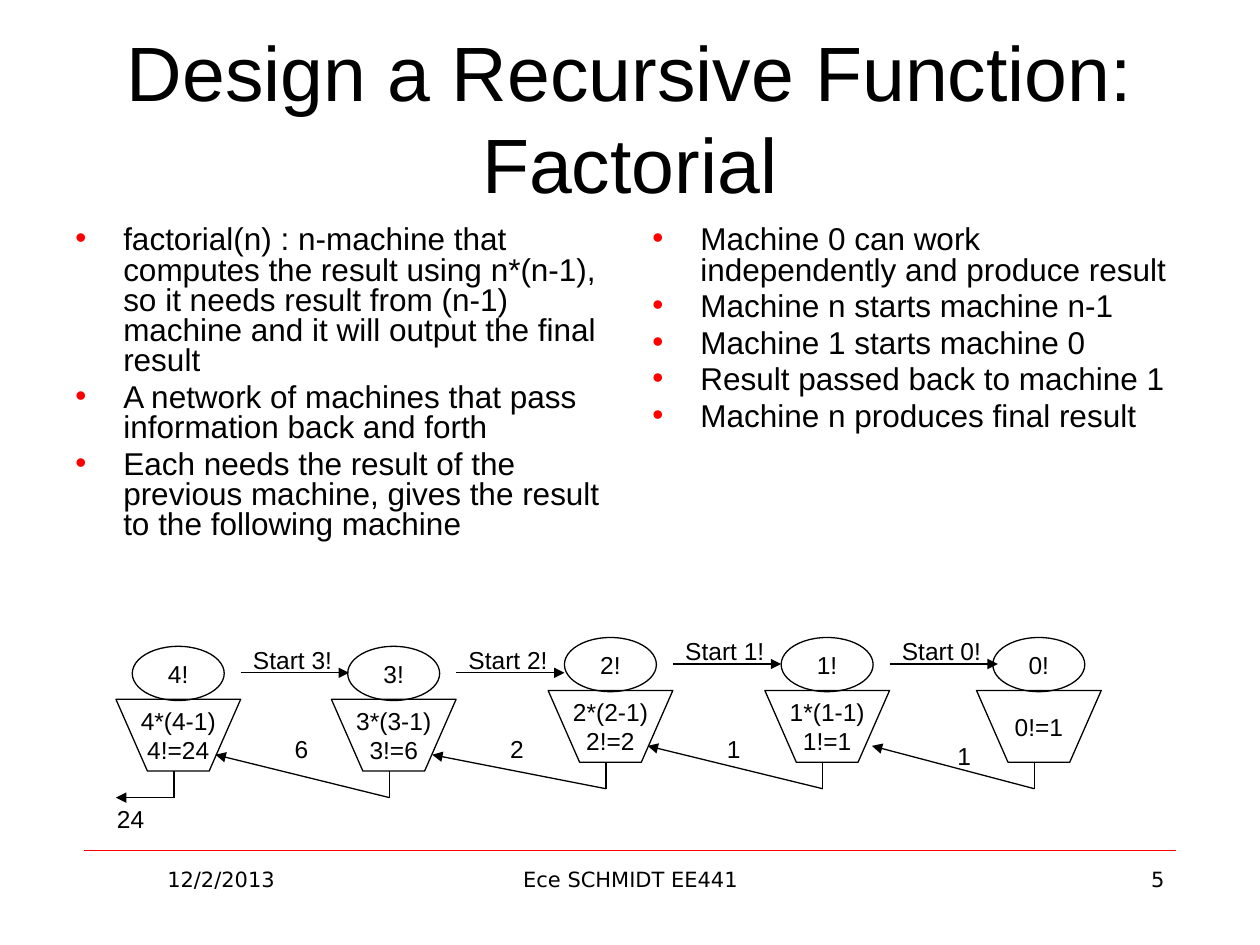
from dataclasses import dataclass

from lxml import etree
from pptx import Presentation
from pptx.dml.color import RGBColor
from pptx.enum.shapes import MSO_CONNECTOR, MSO_SHAPE
from pptx.enum.text import MSO_ANCHOR, MSO_AUTO_SIZE, PP_ALIGN
from pptx.oxml.ns import qn
from pptx.util import Inches, Pt

LEFT, CENTER, RIGHT = PP_ALIGN.LEFT, PP_ALIGN.CENTER, PP_ALIGN.RIGHT
TOP, MIDDLE = MSO_ANCHOR.TOP, MSO_ANCHOR.MIDDLE


@dataclass(frozen=True)
class Theme:
    """Colours, fonts and sizes of the page."""
    ink: RGBColor = RGBColor(0, 0, 0)
    accent: RGBColor = RGBColor(255, 0, 0)
    font: str = "Arial"
    footer_font: str = "DejaVu Sans"
    title_size: float = 44
    body_size: float = 18
    label_size: float = 14
    footer_size: float = 12
    outline: float = 0.75
    rule: float = 0.25


@dataclass(frozen=True)
class Machine:
    """One machine of the chain, with the result it hands back."""
    number: int
    left: float
    top: float
    work: tuple
    result: str = ""
    result_at: tuple = ()
    return_tip: tuple = ()


THEME = Theme()
FUNNEL_WIDTH, FUNNEL_HEIGHT, FUNNEL_DROP, FUNNEL_INSET = 0.99, 0.57, 0.42, 0.25

MACHINES = (
    Machine(4, 0.92, 5.13, ("4*(4-1)", "4!=24"), "24", (0.83, 6.33, 0.58), (0.92, 6.33)),
    Machine(3, 2.63, 5.13, ("3*(3-1)", "3!=6"), "6", (2.24, 5.78, 0.4), (1.71, 5.99)),
    Machine(2, 4.35, 5.06, ("2*(2-1)", "2!=2"), "2", (3.95, 5.78, 0.4), (3.43, 5.99)),
    Machine(1, 6.07, 5.06, ("1*(1-1)", "1!=1"), "1", (5.67, 5.78, 0.4), (5.14, 5.92)),
    Machine(0, 7.75, 5.06, ("0!=1",), "1", (7.5, 5.83, 0.4), (6.92, 5.92)),
)
IDEAS = (
    "factorial(n) : n-machine that computes the result using n*(n-1), so it needs "
    "result from (n-1) machine and it will output the final result",
    "A network of machines that pass information back and forth",
    "Each needs the result of the previous machine, gives the result to the following machine",
)
STEPS = (
    "Machine 0 can work independently and produce result",
    "Machine n starts machine n-1",
    "Machine 1 starts machine 0",
    "Result passed back to machine 1",
    "Machine n produces final result",
)
FOOTERS = (
    ("12/2/2013", 0.67, 2.17, CENTER),
    ("Ece SCHMIDT EE441", 3.42, 3.17, CENTER),
    ("5", 7.17, 2.17, RIGHT),
)


def write_text(shape, lines, size=THEME.label_size, font=THEME.font, align=LEFT,
               anchor=TOP, wrap=True):
    """Write one paragraph per line into a shape and return the paragraphs."""
    frame = shape.text_frame
    frame.word_wrap = wrap
    frame.auto_size = MSO_AUTO_SIZE.NONE
    frame.vertical_anchor = anchor
    for index, line in enumerate(lines):
        para = frame.paragraphs[0] if index == 0 else frame.add_paragraph()
        para.alignment = align
        span = para.add_run()
        span.text = line
        span.font.size = Pt(size)
        span.font.name = font
        span.font.color.rgb = THEME.ink
    return frame.paragraphs


def add_text(page, lines, left, top, width, height=0.33, **style):
    """Add a text box and return its paragraphs."""
    box = page.shapes.add_textbox(Inches(left), Inches(top), Inches(width), Inches(height))
    return write_text(box, lines, **style)


def add_bullets(page, lines, left, height):
    """Add a column of tightly spaced bullets with a hanging indent."""
    for para in add_text(page, lines, left, 1.75, 4.42, height, size=THEME.body_size):
        para.line_spacing = 0.8
        para.space_before = Pt(0.2 * THEME.body_size)
        properties = para._p.get_or_add_pPr()
        properties.set("marL", str(Inches(0.38)))
        properties.set("indent", str(-Inches(0.38)))
        colour = etree.SubElement(properties, qn("a:buClr"))
        etree.SubElement(colour, qn("a:srgbClr"), val=str(THEME.accent))
        etree.SubElement(properties, qn("a:buFont"), typeface=THEME.font)
        etree.SubElement(properties, qn("a:buChar"), char="•")


def add_line(page, start, end, arrow=False, colour=THEME.ink, weight=THEME.outline):
    """Add a straight line, with an arrowhead at its end if asked."""
    line = page.shapes.add_connector(
        MSO_CONNECTOR.STRAIGHT, *(Inches(value) for value in (*start, *end)))
    line.line.color.rgb = colour
    line.line.width = Pt(weight)
    if arrow:
        etree.SubElement(line.line._get_or_add_ln(), qn("a:tailEnd"), type="triangle")
    etree.SubElement(line._element.spPr, qn("a:effectLst"))


def outline(shape, lines):
    """Give a shape a plain outline and centred text."""
    shape.shadow.inherit = False
    shape.fill.background()
    shape.line.color.rgb = THEME.ink
    shape.line.width = Pt(THEME.outline)
    write_text(shape, lines, align=CENTER, anchor=MIDDLE, wrap=False)


def add_machine(page, machine):
    """Draw a machine: oval, funnel, start arrow, and the way its result goes back."""
    left, top = machine.left, machine.top
    right, rim = left + FUNNEL_WIDTH, top + FUNNEL_DROP
    base = rim + FUNNEL_HEIGHT
    corners = [(left, rim), (left + FUNNEL_INSET, base), (right - FUNNEL_INSET, base),
               (right, rim)]
    points = [(Inches(x), Inches(y)) for x, y in corners]
    builder = page.shapes.build_freeform(*points[0])
    builder.add_line_segments(points[1:], close=True)
    outline(builder.convert_to_shape(), machine.work)
    oval = page.shapes.add_shape(MSO_SHAPE.OVAL, Inches(left + 0.13), Inches(top),
                                 Inches(0.73), Inches(0.43))
    outline(oval, [f"{machine.number}!"])

    outlet = (left + 0.46, base + 0.21)
    add_line(page, (outlet[0], base), outlet)
    add_line(page, outlet, machine.return_tip, arrow=True)
    add_text(page, [machine.result], *machine.result_at)
    if machine.number:
        add_line(page, (right, top + 0.21), (right + 0.86, top + 0.21), arrow=True)
        add_text(page, [f"Start {machine.number - 1}!"], right, top - 0.06, 0.86)


def add_title(page, text):
    """Place and format the title placeholder."""
    title = page.shapes.title
    title.left, title.top = Inches(0.5), Inches(0.3)
    title.width, title.height = Inches(9), Inches(1.25)
    write_text(title, [text], size=THEME.title_size, align=CENTER, anchor=MIDDLE)


def add_footer(page):
    """Draw the footer rule and its three texts."""
    add_line(page, (0.67, 6.75), (9.33, 6.75), colour=THEME.accent, weight=THEME.rule)
    for text, left, width, align in FOOTERS:
        add_text(page, [text], left, 6.83, width, 0.52, size=THEME.footer_size,
                 font=THEME.footer_font, align=align)


def main():
    """Build the page and save the deck."""
    deck = Presentation()
    deck.slide_width, deck.slide_height = Inches(10), Inches(7.5)
    page = deck.slides.add_slide(deck.slide_layouts[5])
    add_title(page, "Design a Recursive Function: Factorial")
    add_footer(page)
    add_bullets(page, IDEAS, 0.5, 2.75)
    add_bullets(page, STEPS, 5.08, 2.33)
    for machine in MACHINES:
        add_machine(page, machine)
    deck.save("out.pptx")


main()
